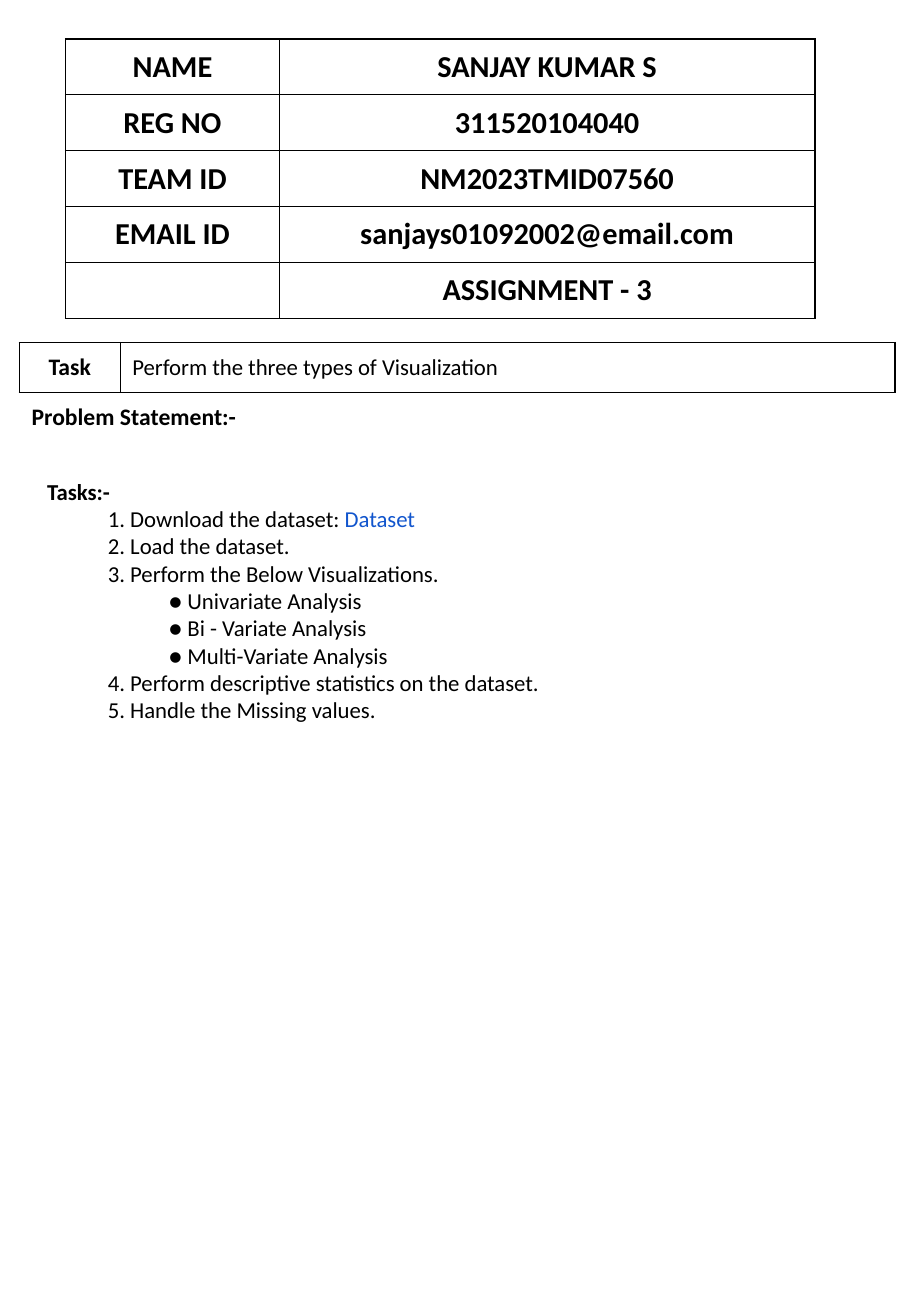
"""Build the assignment sheet with its student table, task table and task list."""
import pptx
import pptx.dml.color
import pptx.enum.text
import pptx.oxml
import pptx.util
from pptx.oxml.ns import nsdecls

Inches = pptx.util.Inches
Align = pptx.enum.text.PP_ALIGN
BLACK = pptx.dml.color.RGBColor(0x00, 0x00, 0x00)
LINK_BLUE = pptx.dml.color.RGBColor(0x11, 0x55, 0xCD)
FONT = "Calibri"
BODY_SIZE = 13.5
INDENT_STEP = 0.5
ALL_SIDES = "LRTB"

STUDENT_ROWS = [
    ("NAME", "SANJAY KUMAR S"),
    ("REG NO", "311520104040"),
    ("TEAM ID", "NM2023TMID07560"),
    ("EMAIL ID", "sanjays01092002@email.com"),
    ("", "ASSIGNMENT - 3"),
]
TASK_LABEL = "Task"
TASK_TEXT = "Perform the three types of Visualization"
PROBLEM_HEADING = "Problem Statement:-"
TASK_LINES = [
    (0, [("Tasks:-", {"bold": True})]),
    (1, [("1. Download the dataset: ", {}), ("Dataset", {"color": LINK_BLUE})]),
    (1, [("2. Load the dataset.", {})]),
    (1, [("3. Perform the Below Visualizations.", {})]),
    (2, [("● Univariate Analysis", {})]),
    (2, [("● Bi - Variate Analysis", {})]),
    (2, [("● Multi-Variate Analysis", {})]),
    (1, [("4. Perform descriptive statistics on the dataset.", {})]),
    (1, [("5. Handle the Missing values.", {})]),
]


def write(para, text, size=BODY_SIZE, bold=False, color=BLACK):
    span = para.add_run()
    span.text = text
    span.font.name = FONT
    span.font.size = pptx.util.Pt(size)
    span.font.bold = bold
    span.font.color.rgb = color


def add_grid(page, left, top, widths, height, row_count):
    frame = page.shapes.add_table(
        row_count, len(widths), Inches(left), Inches(top),
        Inches(sum(widths)), Inches(height * row_count))
    table = frame.table
    table.first_row = table.horz_banding = False
    for column, width in zip(table.columns, widths):
        column.width = Inches(width)
    for row in table.rows:
        row.height = Inches(height)
    return table


def fill_cell(cell, text, sides=ALL_SIDES, align=Align.CENTER, **text_format):
    properties = cell._tc.get_or_add_tcPr()
    for side in ALL_SIDES:
        paint = "<a:noFill/>"
        if side in sides:
            paint = f'<a:solidFill><a:srgbClr val="{BLACK}"/></a:solidFill>'
        properties.append(pptx.oxml.parse_xml(
            f'<a:ln{side} {nsdecls("a")} w="12700">{paint}</a:ln{side}>'))
    cell.fill.background()
    cell.vertical_anchor = pptx.enum.text.MSO_ANCHOR.MIDDLE
    para = cell.text_frame.paragraphs[0]
    para.alignment = align
    if text:
        write(para, text, **text_format)


def add_student_table(page):
    table = add_grid(page, 0.54, 0.32, (1.76, 4.41), 0.46, len(STUDENT_ROWS))
    for row, texts in zip(table.rows, STUDENT_ROWS):
        for cell, text in zip(row.cells, texts):
            fill_cell(cell, text, size=18, bold=True)


def add_task_table(page):
    table = add_grid(page, 0.16, 2.82, (0.83, 6.38), 0.41, 2)
    fill_cell(table.cell(0, 0), TASK_LABEL, size=14, bold=True)
    fill_cell(table.cell(0, 1), TASK_TEXT, align=Align.JUSTIFY)
    heading, spanned = table.cell(1, 0), table.cell(1, 1)
    heading.merge(spanned)
    fill_cell(heading, PROBLEM_HEADING, sides="T", align=Align.LEFT, size=14, bold=True)
    fill_cell(spanned, "", sides="T")


def add_task_list(page):
    box = page.shapes.add_textbox(Inches(0.29), Inches(3.88), Inches(7.08), Inches(2.15))
    frame = box.text_frame
    frame.word_wrap = True
    for index, (level, spans) in enumerate(TASK_LINES):
        para = frame.add_paragraph() if index else frame.paragraphs[0]
        para._p.get_or_add_pPr().set("marL", str(Inches(level * INDENT_STEP)))
        for text, text_format in spans:
            write(para, text, **text_format)


def main():
    deck = pptx.Presentation()
    deck.slide_width, deck.slide_height = Inches(7.5), Inches(10.83)
    page = deck.slides.add_slide(deck.slide_layouts[6])
    add_student_table(page)
    add_task_table(page)
    add_task_list(page)
    deck.save("out.pptx")


if __name__ == "__main__":
    main()
